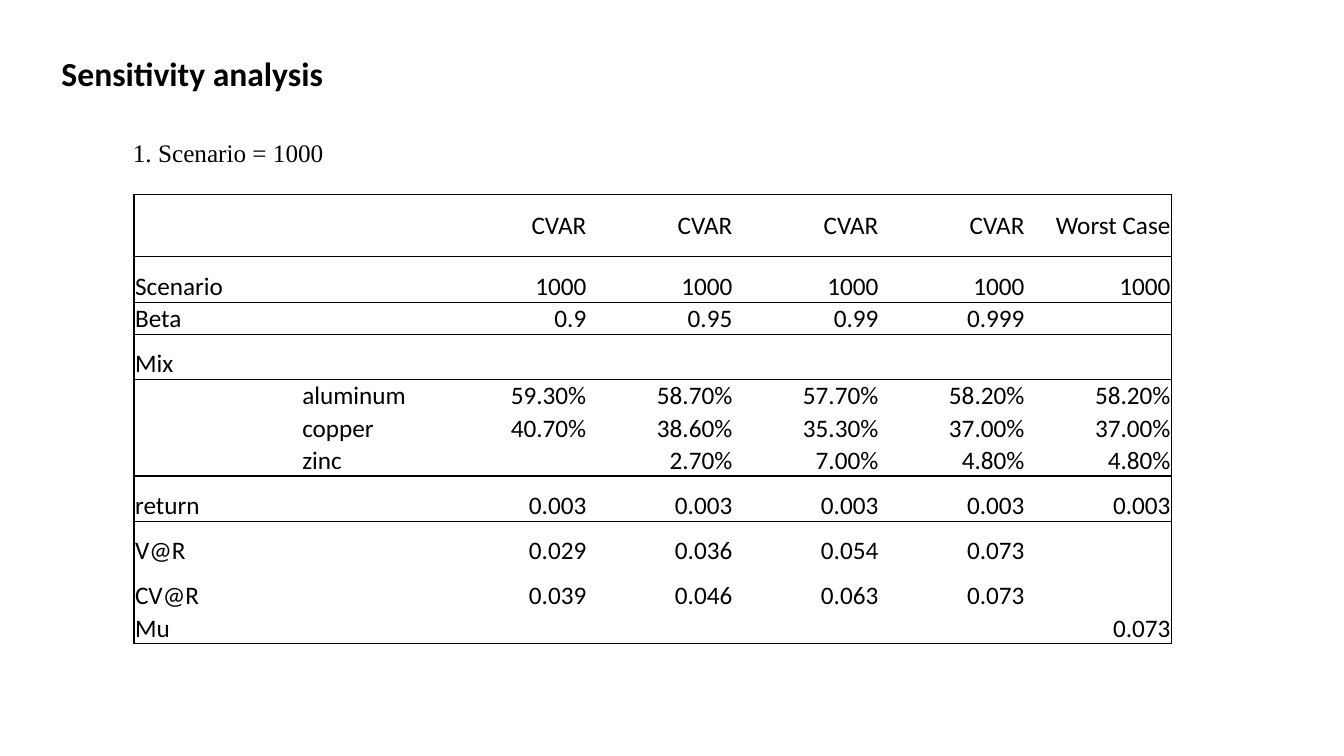
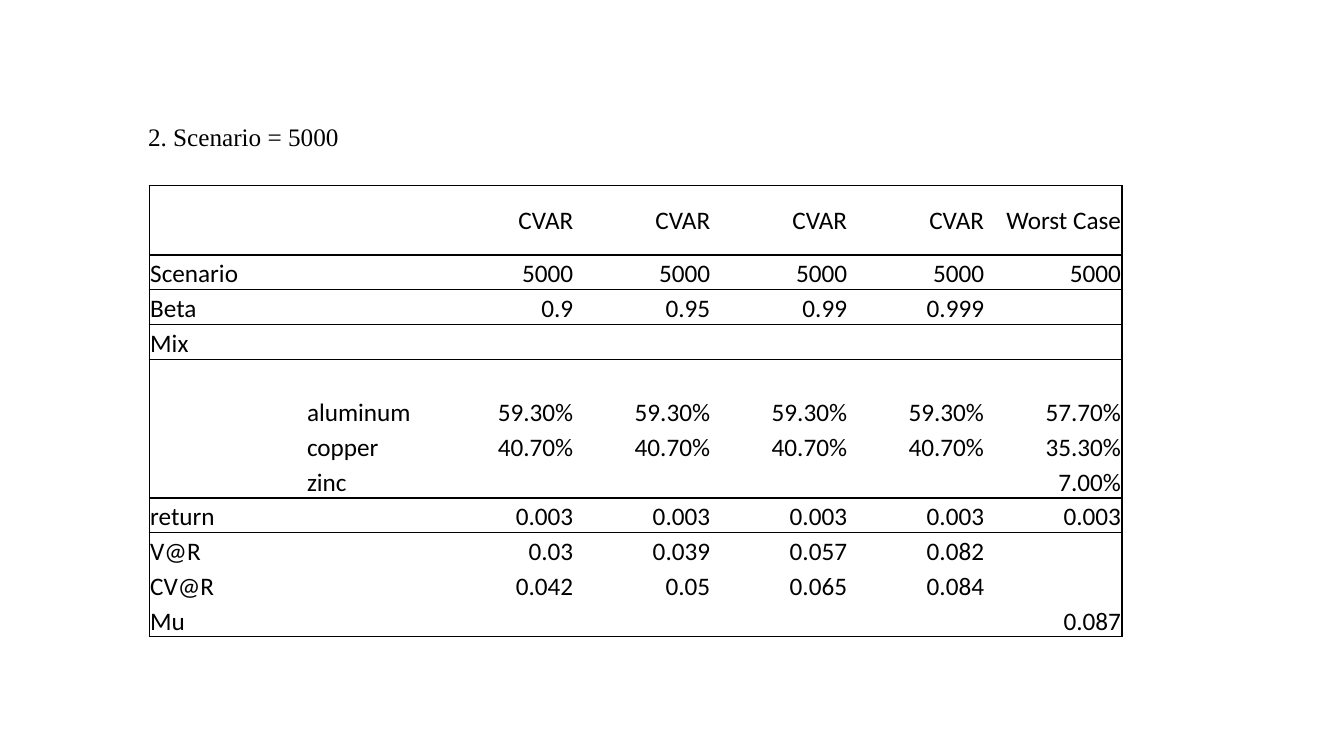
from pptx import Presentation
from pptx.dml.color import RGBColor
from pptx.enum.text import MSO_ANCHOR, PP_ALIGN
from pptx.oxml.ns import qn
from pptx.oxml.xmlchemy import OxmlElement
from pptx.util import Inches, Pt

LEFT, RIGHT = PP_ALIGN.LEFT, PP_ALIGN.RIGHT
TOP, MIDDLE, BOTTOM = MSO_ANCHOR.TOP, MSO_ANCHOR.MIDDLE, MSO_ANCHOR.BOTTOM
TITLE_ONLY, BLANK = 5, 6

COLORS = {"text": "000000", "rule": "000000", "background": "FFFFFF"}
SANS, SERIF = "Calibri", "Times New Roman"
NO_STYLE = "{2D5ABB26-0587-4C30-8999-92F81FD0307C}"

COLUMN_WEIGHTS = [1.66, 1.39] + [1.45] * 5
GROUP_STARTS = (0, 1, 3, 7)
GROUP_ENDS = (0, 2, 6, 10)
HEADER = ("", "", ["CVAR"] * 4 + ["Worst Case"])
BETA = ("Beta", "", ["0.9", "0.95", "0.99", "0.999", ""])
MIX = ("Mix", "", [""] * 5)
RETURN = ("return", "", ["0.003"] * 5)

ROWS_1000 = [
    HEADER,
    ("Scenario", "", ["1000"] * 5),
    BETA,
    MIX,
    ("", "aluminum", ["59.30%", "58.70%", "57.70%", "58.20%", "58.20%"]),
    ("", "copper", ["40.70%", "38.60%", "35.30%", "37.00%", "37.00%"]),
    ("", "zinc", ["", "2.70%", "7.00%", "4.80%", "4.80%"]),
    RETURN,
    ("V@R", "", ["0.029", "0.036", "0.054", "0.073", ""]),
    ("CV@R", "", ["0.039", "0.046", "0.063", "0.073", ""]),
    ("Mu", "", [""] * 4 + ["0.073"]),
]
ROWS_5000 = [
    HEADER,
    ("Scenario", "", ["5000"] * 5),
    BETA,
    MIX,
    ("", "aluminum", ["59.30%"] * 4 + ["57.70%"]),
    ("", "copper", ["40.70%"] * 4 + ["35.30%"]),
    ("", "zinc", [""] * 4 + ["7.00%"]),
    RETURN,
    ("V@R", "", ["0.03", "0.039", "0.057", "0.082", ""]),
    ("CV@R", "", ["0.042", "0.05", "0.065", "0.084", ""]),
    ("Mu", "", [""] * 4 + ["0.087"]),
]
HEIGHTS_1000 = [0.62, 0.45, 0.32, 0.45, 0.32, 0.32, 0.32, 0.45, 0.45, 0.45, 0.32]
HEIGHTS_5000 = [2, 1, 1, 1, 2, 1, 1, 1, 1, 1, 1]


def write(paragraph, words, font, size, bold=False, align=LEFT):
    paragraph.alignment = align
    run = paragraph.add_run()
    run.text = words
    run.font.name = font
    run.font.size = Pt(size)
    run.font.bold = bold
    run.font.color.rgb = RGBColor.from_string(COLORS["text"])


def add_title(slide, box, words):
    title = slide.shapes.title
    title.left, title.top, title.width, title.height = map(Inches, box)
    title.text_frame.vertical_anchor = TOP
    write(title.text_frame.paragraphs[0], words, SANS, 24, bold=True)


def add_caption(slide, box, words):
    frame = slide.shapes.add_textbox(*map(Inches, box)).text_frame
    frame.word_wrap = True
    frame.vertical_anchor = BOTTOM
    write(frame.paragraphs[0], words, SERIF, 18)


def add_border(cell, side):
    line = OxmlElement(f"a:ln{side}")
    line.set("w", str(Pt(1)))
    fill = OxmlElement("a:solidFill")
    color = OxmlElement("a:srgbClr")
    color.set("val", COLORS["rule"])
    fill.append(color)
    line.append(fill)
    cell._tc.get_or_add_tcPr().append(line)


def share(total, weights):
    return [Inches(total * weight / sum(weights)) for weight in weights]


def add_cell(cell, words, row, column):
    cell.margin_left = cell.margin_right = cell.margin_top = Inches(0.01)
    cell.margin_bottom = 0
    cell.vertical_anchor = BOTTOM if row else MIDDLE
    edges = {
        "L": column == 0,
        "R": column == len(COLUMN_WEIGHTS) - 1,
        "T": row in GROUP_STARTS,
        "B": row in GROUP_ENDS,
    }
    for side, drawn in edges.items():
        if drawn:
            add_border(cell, side)
    cell.fill.background()
    if words:
        align = RIGHT if column > 1 else LEFT
        write(cell.text_frame.paragraphs[0], words, SANS, 18, align=align)


def add_results(slide, box, rows, height_weights):
    frame = slide.shapes.add_table(len(rows), len(COLUMN_WEIGHTS), *map(Inches, box))
    results = frame.table
    results.first_row = results.horz_banding = False
    results._tbl.tblPr.find(qn("a:tableStyleId")).text = NO_STYLE
    for column, width in zip(results.columns, share(box[2], COLUMN_WEIGHTS)):
        column.width = width
    for row, height in zip(results.rows, share(box[3], height_weights)):
        row.height = height
    for r, (label, metal, values) in enumerate(rows):
        for c, words in enumerate([label, metal, *values]):
            add_cell(results.cell(r, c), words, r, c)
        if not metal:
            results.cell(r, 0).merge(results.cell(r, 1))


def add_slide(deck, layout):
    slide = deck.slides.add_slide(deck.slide_layouts[layout])
    slide.background.fill.solid()
    slide.background.fill.fore_color.rgb = RGBColor.from_string(COLORS["background"])
    return slide


def add_scenario(slide, left, top, width, height, caption, caption_top, rows, weights):
    add_results(slide, (left, top, width, height), rows, weights)
    add_caption(slide, (left - 0.11, caption_top, 6.67, 0.74), caption)


def main():
    deck = Presentation()
    deck.slide_width, deck.slide_height = Inches(13.33), Inches(7.5)

    first = add_slide(deck, TITLE_ONLY)
    add_title(first, (0.51, 0.47, 6.67, 0.5), "Sensitivity analysis")
    add_scenario(first, 1.33, 1.93, 10.29, 4.46,
                 "1. Scenario = 1000", 0.97, ROWS_1000, HEIGHTS_1000)

    second = add_slide(deck, BLANK)
    add_scenario(second, 1.48, 1.84, 9.65, 4.48,
                 "2. Scenario = 5000", 0.81, ROWS_5000, HEIGHTS_5000)

    deck.save("out.pptx")


if __name__ == "__main__":
    main()
